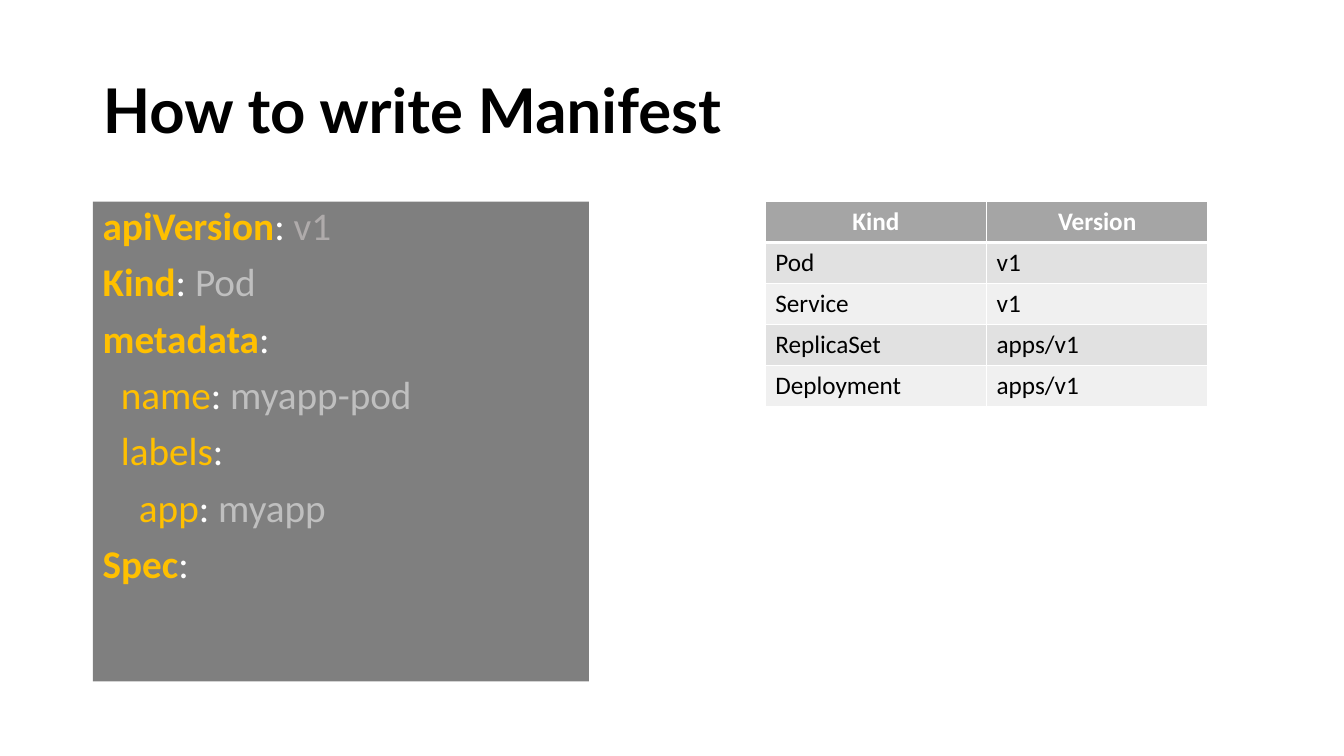
"""Build the slide that explains how to write a manifest."""
from lxml.etree import SubElement
from pptx import Presentation
from pptx.dml.color import RGBColor
from pptx.enum.shapes import MSO_SHAPE as SHAPE
from pptx.enum.text import MSO_ANCHOR as ANCHOR, MSO_AUTO_SIZE as FIT, PP_ALIGN as ALIGN
from pptx.oxml.ns import qn
from pptx.util import Inches, Pt

TITLE = "How to write Manifest"
MANIFEST = [
    (0, "apiVersion", "v1", "version"),
    (0, "Kind", "Pod", "value"),
    (0, "metadata", "", "value"),
    (1, "name", "myapp-pod", "value"),
    (1, "labels", "", "value"),
    (2, "app", "myapp", "value"),
    (0, "Spec", "", "value"),
]
VERSIONS = [
    ("Kind", "Version"),
    ("Pod", "v1"),
    ("Service", "v1"),
    ("ReplicaSet", "apps/v1"),
    ("Deployment", "apps/v1"),
]
COLORS = {
    "black": "000000", "white": "FFFFFF", "key": "FFC000", "version": "AFABAB",
    "value": "BFBFBF", "header": "A5A5A5", "odd": "E1E1E1", "even": "F0F0F0",
}
WIDTH, HEIGHT = 13.33, 7.5
LEFT, TOP = 0.92, 2
INDENT = 0.18
COL, ROW = 2.195, 0.406


def rgb(name):
    return RGBColor.from_string(COLORS[name])


def add_run(p, text, size=18, color="black", bold=False, font="Calibri"):
    r = p.add_run()
    r.text = text
    r.font.size, r.font.bold, r.font.name = Pt(size), bold, font
    r.font.color.rgb = rgb(color)


def add_title(s):
    sp = s.shapes.title
    sp.left, sp.top = Inches(LEFT), Inches(0.4)
    sp.width, sp.height = Inches(WIDTH - 2 * LEFT), Inches(1.45)
    tf = sp.text_frame
    tf.auto_size, tf.vertical_anchor = FIT.NONE, ANCHOR.MIDDLE
    p = tf.paragraphs[0]
    p.alignment, p.line_spacing = ALIGN.LEFT, 0.9
    add_run(p, TITLE, size=44, bold=True, font="Lato")


def add_manifest(s):
    sp = s.shapes.add_shape(SHAPE.RECTANGLE, Inches(LEFT), Inches(TOP), Inches(4.92), Inches(4.76))
    sp.shadow.inherit = False
    sp.line.fill.background()
    sp.fill.solid()
    sp.fill.fore_color.rgb = rgb("black")
    black = sp.fill._xPr.find(qn("a:solidFill"))[0]
    SubElement(black, qn("a:alpha"), val="50000")
    tf = sp.text_frame
    tf.word_wrap, tf.vertical_anchor = True, ANCHOR.TOP
    for i, (level, key, value, color) in enumerate(MANIFEST):
        p = tf.add_paragraph() if i else tf.paragraphs[0]
        p.alignment, p.line_spacing, p.space_before = ALIGN.LEFT, 0.9, Pt(10)
        p._p.get_or_add_pPr().set("marL", str(Inches(INDENT * level)))
        add_run(p, key, size=28, color="key", bold=level == 0)
        add_run(p, ": " if value else ":", size=28, color="white")
        if value:
            add_run(p, value, size=28, color=color)


def set_borders(cell, **widths):
    tc_pr = cell._tc.get_or_add_tcPr()
    for side in "LRTB":
        ln = SubElement(tc_pr, qn(f"a:ln{side}"), w=str(Pt(widths.get(side, 1))))
        SubElement(SubElement(ln, qn("a:solidFill")), qn("a:srgbClr"), val=COLORS["white"])


def add_versions(s):
    rows, cols = len(VERSIONS), len(VERSIONS[0])
    table = s.shapes.add_table(rows, cols, Inches(7.59), Inches(TOP),
                               Inches(cols * COL), Inches(rows * ROW)).table
    for i, texts in enumerate(VERSIONS):
        fill = "header" if i == 0 else "odd" if i % 2 else "even"
        for j, text in enumerate(texts):
            cell = table.cell(i, j)
            set_borders(cell, T=3 if i == 1 else 1, B=3 if i == 0 else 1)
            cell.fill.solid()
            cell.fill.fore_color.rgb = rgb(fill)
            p = cell.text_frame.paragraphs[0]
            p.alignment = ALIGN.LEFT if i else ALIGN.CENTER
            add_run(p, text, color="black" if i else "white", bold=i == 0)


def main():
    prs = Presentation()
    prs.slide_width, prs.slide_height = Inches(WIDTH), Inches(HEIGHT)
    s = prs.slides.add_slide(prs.slide_layouts[5])
    add_title(s)
    add_manifest(s)
    add_versions(s)
    prs.save("out.pptx")


if __name__ == "__main__":
    main()
